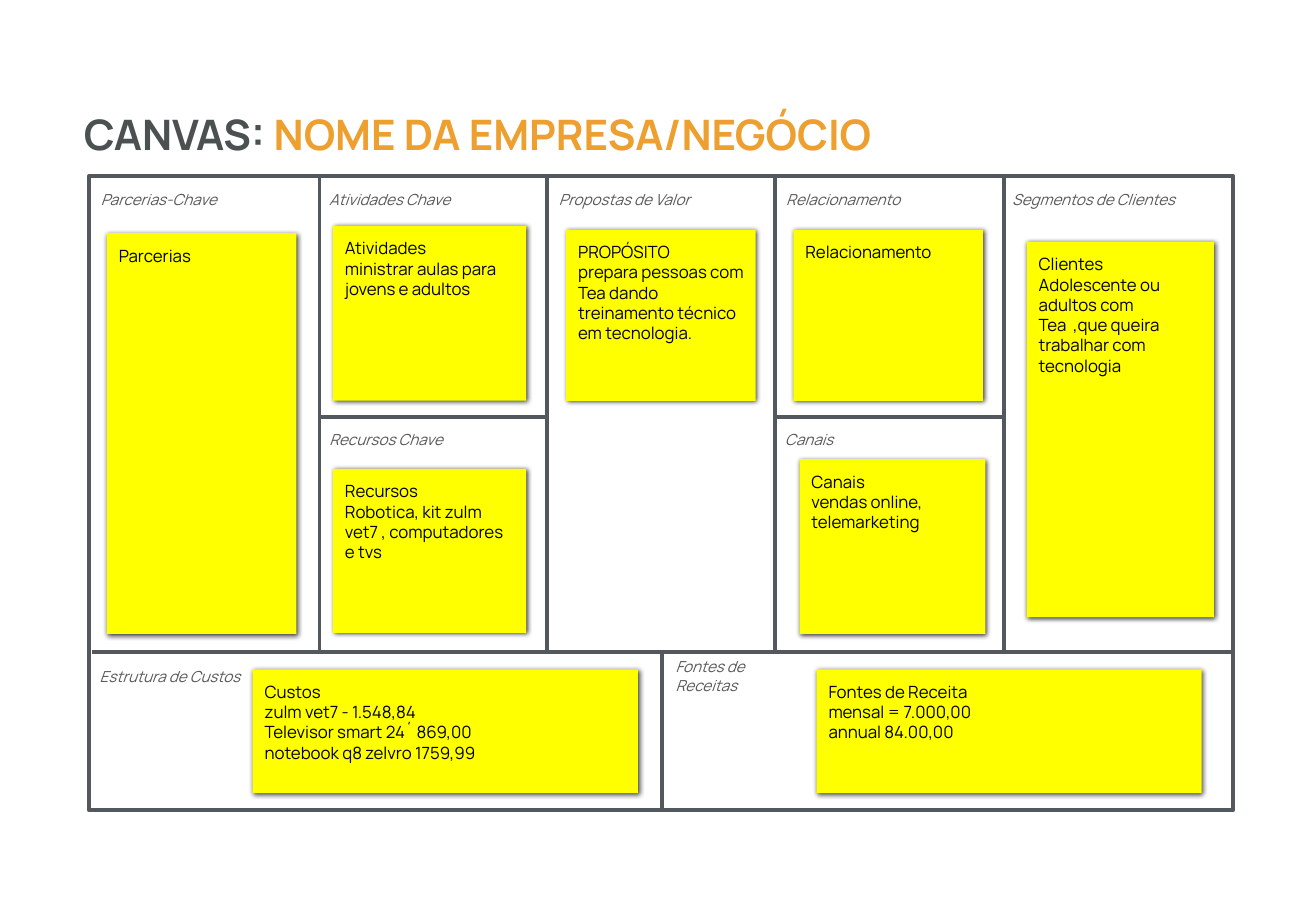
from lxml import etree
from pptx import Presentation
from pptx import util as u
from pptx.dml.color import RGBColor
from pptx.enum import shapes, text
from pptx.oxml import ns

FONT = "Manrope"
SLATE = RGBColor(0x53, 0x58, 0x5F)
TITLE_GRAY = RGBColor(0x4B, 0x50, 0x50)
ORANGE = RGBColor(0xED, 0xA0, 0x2F)
CAPTION_GRAY = RGBColor(0x59, 0x59, 0x59)
YELLOW = RGBColor(0xFF, 0xFF, 0x00)
BLACK = RGBColor(0, 0, 0)

FRAME = (0.73, 1.45, 9.42, 5.22)
TOP, MIDDLE, BASE, BOTTOM = 1.45, 3.43, 5.37, 6.67
COLUMNS = (2.63, 4.5, 6.38, 8.26)

CAPTIONS = [
    ("Parcerias-Chave", 0.78, 1.54, 1.47),
    ("Atividades Chave", 2.66, 1.54, 1.14),
    ("Propostas de Valor", 4.55, 1.54, 1.24),
    ("Relacionamento", 6.42, 1.54, 1.28),
    ("Segmentos de Clientes", 8.28, 1.54, 1.47),
    ("Recursos Chave", 2.66, 3.51, 1.08),
    ("Canais", 6.41, 3.51, 1.16),
    ("Estrutura de Custos", 0.77, 5.46, 1.28),
    ("Fontes de Receitas", 5.51, 5.46, 1.16),
]

NOTES = [
    ((8.45, 1.99, 1.54, 3.09),
     ["Clientes", "Adolescente ou adultos com Tea  ,que queira trabalhar com tecnologia"]),
    ((4.66, 1.89, 1.56, 1.41),
     ["PROPÓSITO", "prepara pessoas com Tea dando treinamento técnico em tecnologia."]),
    ((6.58, 3.78, 1.53, 1.44), ["Canais", "vendas online, telemarketing"]),
    ((6.53, 1.89, 1.56, 1.41), ["Relacionamento"]),
    ((6.72, 5.51, 3.17, 1.02),
     ["Fontes de Receita", "mensal = 7.000,00", "annual 84.00,00"]),
    ((2.08, 5.51, 3.17, 1.02),
     ["Custos", "zulm vet7 - 1.548,84", "Televisor smart 24´ 869,00",
      "notebook q8 zelvro 1759,99"]),
    ((2.74, 3.86, 1.59, 1.35),
     ["Recursos", "Robotica, kit zulm vet7 , computadores e tvs"]),
    ((0.88, 1.92, 1.56, 3.3), ["Parcerias"]),
    ((2.74, 1.86, 1.59, 1.44), ["Atividades", "ministrar aulas para jovens e adultos"]),
]


def inches(values):
    return [u.Inches(v) for v in values]


def set_frame(tf, margin, anchor):
    tf.word_wrap = True
    tf.auto_size = text.MSO_AUTO_SIZE.NONE
    tf.vertical_anchor = anchor
    tf.margin_left = tf.margin_right = u.Inches(margin)
    tf.margin_top = tf.margin_bottom = u.Inches(margin)


def add_run(p, words, size, color, bold=False, italic=False):
    p.alignment = text.PP_ALIGN.LEFT
    r = p.add_run()
    r.text = words
    r.font.name = FONT
    r.font.size = u.Pt(size)
    r.font.color.rgb = color
    r.font.bold = bold
    r.font.italic = italic


def add_title(s):
    sp = s.shapes.title
    sp.left, sp.top, sp.width, sp.height = inches((0.69, 0.89, 9.42, 0.51))
    set_frame(sp.text_frame, 0, text.MSO_ANCHOR.TOP)
    p = sp.text_frame.paragraphs[0]
    add_run(p, "CANVAS: ", 24.9, TITLE_GRAY, bold=True)
    add_run(p, "NOME DA EMPRESA/NEGÓCIO", 24.9, ORANGE, bold=True)


def add_box(s, box):
    sp = s.shapes.add_shape(shapes.MSO_SHAPE.RECTANGLE, *inches(box))
    sp.shadow.inherit = False
    return sp


def set_line(sp):
    sp.line.color.rgb = SLATE
    sp.line.width = u.Pt(2.25)


def add_rule(s, *ends):
    cx = s.shapes.add_connector(shapes.MSO_CONNECTOR.STRAIGHT, *inches(ends))
    set_line(cx)
    etree.SubElement(cx._element.spPr, ns.qn("a:effectLst"))


def add_grid(s):
    sp = add_box(s, FRAME)
    sp.fill.background()
    set_line(sp)
    add_rule(s, 0.76, BASE, 10.14, BASE)
    for x in COLUMNS:
        add_rule(s, x, TOP, x, BASE)
    for left, right in (COLUMNS[:2], COLUMNS[2:]):
        add_rule(s, left, MIDDLE, right, MIDDLE)
    add_rule(s, 5.45, BASE, 5.45, BOTTOM)


def add_caption(s, words, left, top, width):
    sp = s.shapes.add_textbox(*inches((left, top, width, 0.21)))
    set_frame(sp.text_frame, 0.05, text.MSO_ANCHOR.MIDDLE)
    add_run(sp.text_frame.paragraphs[0], words, 9, CAPTION_GRAY, italic=True)


def add_shadow(sp):
    effects = sp._element.spPr.find(ns.qn("a:effectLst"))
    shadow = etree.SubElement(
        effects, ns.qn("a:outerShdw"), blurRad=str(u.Pt(3)), dist=str(u.Pt(1)),
        dir="2700000", algn="tl", rotWithShape="0")
    color = etree.SubElement(shadow, ns.qn("a:srgbClr"), val=str(BLACK))
    etree.SubElement(color, ns.qn("a:alpha"), val="75000")


def add_note(s, box, lines):
    sp = add_box(s, box)
    sp.fill.solid()
    sp.fill.fore_color.rgb = YELLOW
    sp.line.fill.background()
    add_shadow(sp)
    tf = sp.text_frame
    set_frame(tf, 0.1, text.MSO_ANCHOR.TOP)
    for i, words in enumerate(lines):
        p = tf.add_paragraph() if i else tf.paragraphs[0]
        add_run(p, words, 10, BLACK)


def main():
    """Build the business model canvas slide."""
    prs = Presentation()
    prs.slide_width, prs.slide_height = inches((10.83, 7.5))
    s = prs.slides.add_slide(prs.slide_layouts[5])
    add_title(s)
    add_grid(s)
    for caption in CAPTIONS:
        add_caption(s, *caption)
    for box, lines in NOTES:
        add_note(s, box, lines)
    prs.save("out.pptx")


if __name__ == "__main__":
    main()
